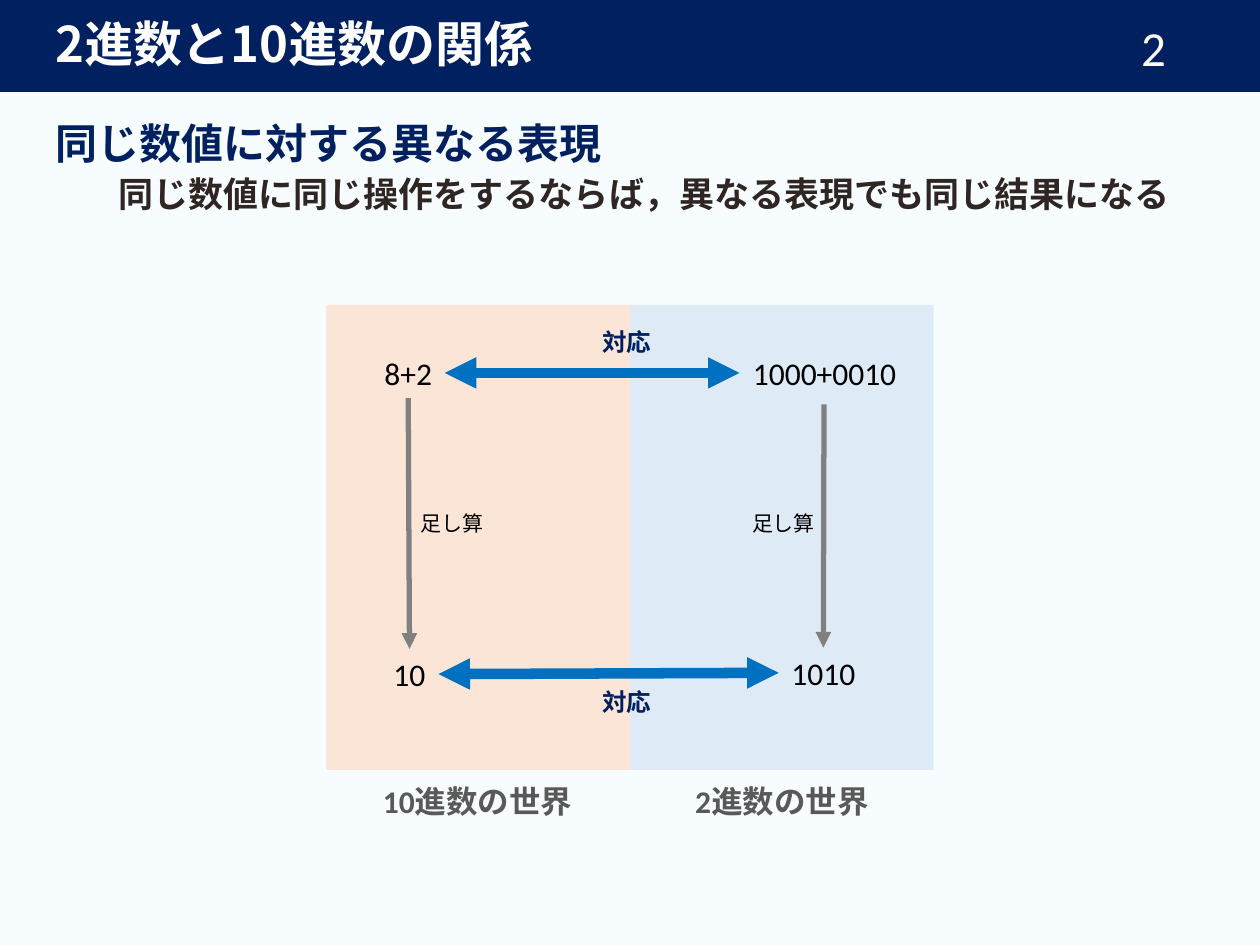
from dataclasses import dataclass

import pptx
import pptx.dml.color
import pptx.enum.shapes
import pptx.enum.text
import pptx.oxml
import pptx.oxml.ns
import pptx.util

Inches = pptx.util.Inches
Align = pptx.enum.text.PP_ALIGN
Anchor = pptx.enum.text.MSO_ANCHOR
TOP, LEFT, BOTTOM, RIGHT = range(4)


@dataclass(frozen=True)
class Theme:
    background: str = "F7FCFE"
    navy: str = "002060"
    white: str = "FFFFFF"
    number: str = "FDFBEC"
    body: str = "2F2523"
    black: str = "000000"
    caption: str = "595959"
    decimal: str = "FBE5D6"
    binary: str = "DEEBF7"
    match: str = "0070C0"
    step: str = "808080"
    latin: str = "Calibri"
    japanese: str = "Noto Sans CJK JP"
    title_size: int = 28
    heading_size: int = 24
    body_size: int = 20
    value_size: int = 18
    match_size: int = 14
    step_size: int = 12


THEME = Theme()


def rgb(value):
    return pptx.dml.color.RGBColor.from_string(value)


def style(para, size, color, bold=False, font=THEME.latin):
    for span in para.runs:
        span.font.size = pptx.util.Pt(size)
        span.font.color.rgb = rgb(color)
        span.font.bold = bold
        span.font.name = font
        east_asian = pptx.oxml.parse_xml(
            f'<a:ea {pptx.oxml.ns.nsdecls("a")} typeface="{THEME.japanese}"/>')
        span.font.fill
        span.font._element.find(pptx.oxml.ns.qn("a:latin")).addnext(east_asian)


def add_text(page, box, text, size, color, bold=False, align=Align.CENTER,
             wrap=False, anchor=Anchor.TOP, font=THEME.latin):
    shape = page.shapes.add_textbox(*map(Inches, box))
    frame = shape.text_frame
    frame.text = text
    frame.word_wrap = wrap
    frame.vertical_anchor = anchor
    for para in frame.paragraphs:
        para.alignment = align
        style(para, size, color, bold, font)
    return shape


def add_panel(page, box, color):
    panel = page.shapes.add_shape(
        pptx.enum.shapes.MSO_SHAPE.RECTANGLE, *map(Inches, box))
    panel.shadow.inherit = False
    panel.fill.solid()
    panel.fill.fore_color.rgb = rgb(color)
    panel.line.fill.background()
    return panel


def add_arrow(page, start, end, color, width, both=False):
    arrow = page.shapes.add_connector(
        pptx.enum.shapes.MSO_CONNECTOR.STRAIGHT, *map(Inches, start + end))
    arrow.line.color.rgb = rgb(color)
    arrow.line.width = pptx.util.Pt(width)
    namespace = pptx.oxml.ns.nsdecls("a")
    for tag in ("headEnd", "tailEnd") if both else ("tailEnd",):
        arrow.line._get_or_add_ln().append(
            pptx.oxml.parse_xml(f'<a:{tag} {namespace} type="triangle"/>'))
    arrow._element.spPr.append(pptx.oxml.parse_xml(f"<a:effectLst {namespace}/>"))
    return arrow


def add_header(page, box):
    left, top, width, height = box
    band = add_panel(page, box, THEME.navy)
    band.line.color.rgb = rgb(THEME.navy)
    band.line.width = pptx.util.Pt(1)
    add_text(page, (left + 8.65, top + 0.02, 1.01, height - 0.02), "2",
             THEME.title_size, THEME.number, anchor=Anchor.MIDDLE)
    title = add_text(page, (left + 0.34, top + 0.02, 8.31, height - 0.02),
                     "2進数と10進数の関係", THEME.title_size, THEME.white, True,
                     Align.LEFT, True, Anchor.MIDDLE, THEME.japanese)
    title.text_frame.paragraphs[0].line_spacing = 0.9


def add_body(page, box):
    body = add_text(page, box, "同じ数値に対する異なる表現\n"
                    "同じ数値に同じ操作をするならば，異なる表現でも同じ結果になる",
                    THEME.heading_size, THEME.navy, True, Align.LEFT, True,
                    font=THEME.japanese)
    heading, detail = body.text_frame.paragraphs
    heading.line_spacing = detail.line_spacing = 0.9
    detail.level = 1
    detail.space_before = pptx.util.Pt(5)
    properties = detail._element.get_or_add_pPr()
    properties.set("marL", str(Inches(0.5)))
    properties.set("indent", "0")
    for span in detail.runs:
        span.font.size = pptx.util.Pt(THEME.body_size)
        span.font.color.rgb = rgb(THEME.body)


def add_diagram(page, box):
    left, top, width, height = box
    half = width / 2

    def label(x, y, w, h, text, size, color, **options):
        return add_text(page, (left + x, top + y, w, h), text, size, color, **options)

    def value(x, y, w, text):
        return label(x, y, w, 0.4, text, THEME.value_size, THEME.black)

    def point(x, y):
        return left + x, top + y

    add_panel(page, (left + half, top, half, height), THEME.binary)
    add_panel(page, (left, top, half, height), THEME.decimal)

    decimal_sum = value(0.36, 0.34, 0.58, "8+2")
    decimal_result = value(0.43, 2.73, 0.46, "10")
    binary_sum = value(3.28, 0.34, 1.35, "1000+0010")
    binary_result = value(3.59, 2.72, 0.71, "1010")

    matches = (
        (decimal_sum, binary_sum, (0.95, 0.54), (3.28, 0.54), 0.13),
        (decimal_result, binary_result, (0.88, 2.94), (3.59, 2.92), 2.98),
    )
    for source, target, start, end, label_top in matches:
        arrow = add_arrow(page, point(*start), point(*end), THEME.match, 6, both=True)
        arrow.begin_connect(source, RIGHT)
        arrow.end_connect(target, LEFT)
        label(2.09, label_top, 0.59, 0.34, "対応", THEME.match_size, THEME.navy, bold=True)

    decimal_step = add_arrow(page, point(0.66, 0.74), point(0.66, 2.72), THEME.step, 3)
    decimal_step.begin_connect(decimal_sum, BOTTOM)
    decimal_step.end_connect(decimal_result, TOP)
    binary_step = add_arrow(page, point(3.95, 0.79), point(3.95, 2.72), THEME.step, 3)
    binary_step.end_connect(binary_result, TOP)
    for x in (0.65, 3.28):
        label(x, 1.58, 0.71, 0.3, "足し算", THEME.step_size, THEME.black, align=Align.LEFT)

    for x, w, text in ((0.34, 1.72, "10進数の世界"), (2.82, 1.59, "2進数の世界")):
        label(x, height + 0.05, w, 0.4, text, THEME.value_size, THEME.caption,
              bold=True, wrap=True)


def main():
    deck = pptx.Presentation()
    deck.slide_width, deck.slide_height = Inches(10), Inches(7.5)
    page = deck.slides.add_slide(deck.slide_layouts[6])
    page.background.fill.solid()
    page.background.fill.fore_color.rgb = rgb(THEME.background)
    add_header(page, (0, 0, 10, 0.72))
    add_body(page, (0.34, 0.93, 9.31, 6.57))
    add_diagram(page, (2.59, 2.42, 4.82, 3.69))
    deck.save("out.pptx")


if __name__ == "__main__":
    main()
